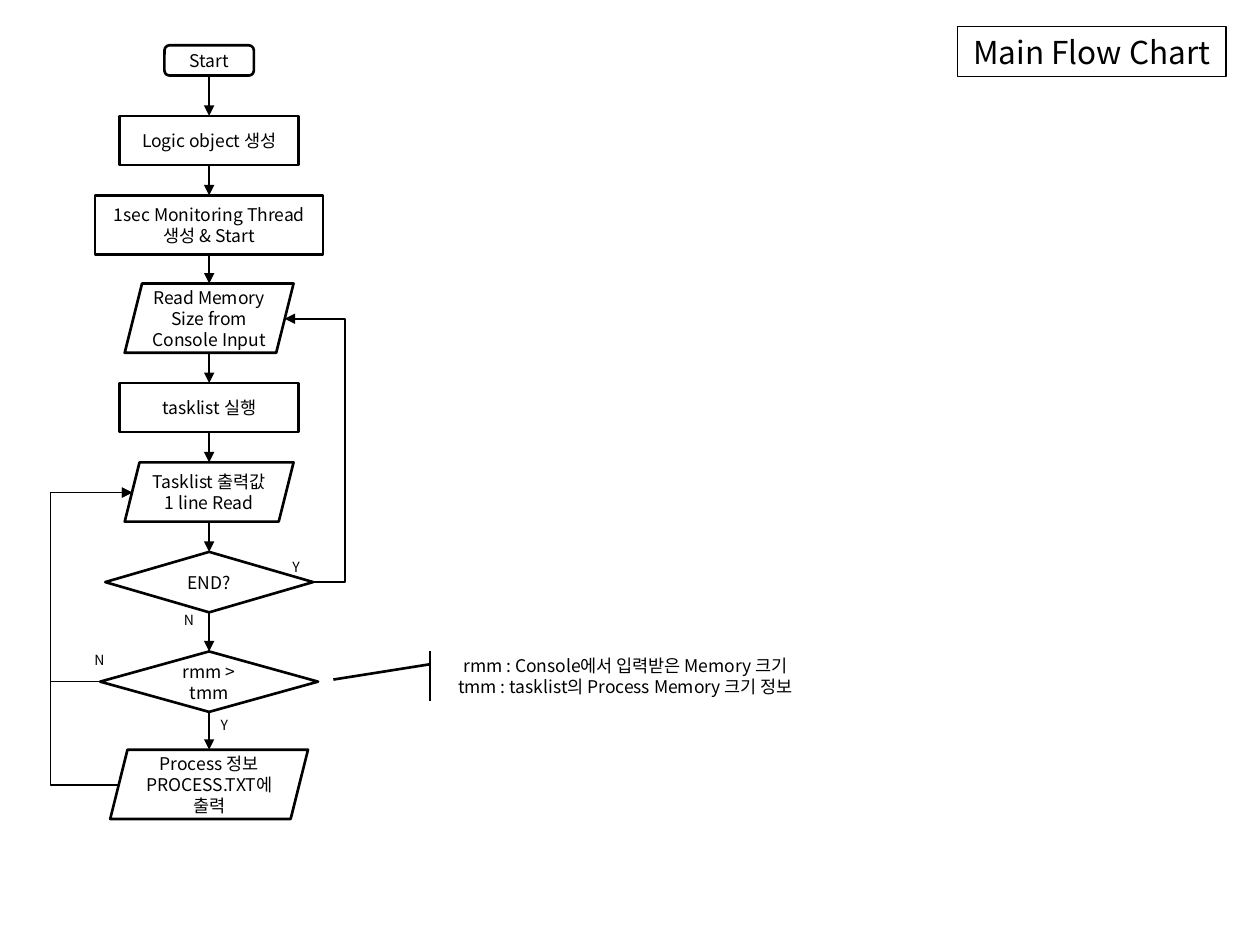
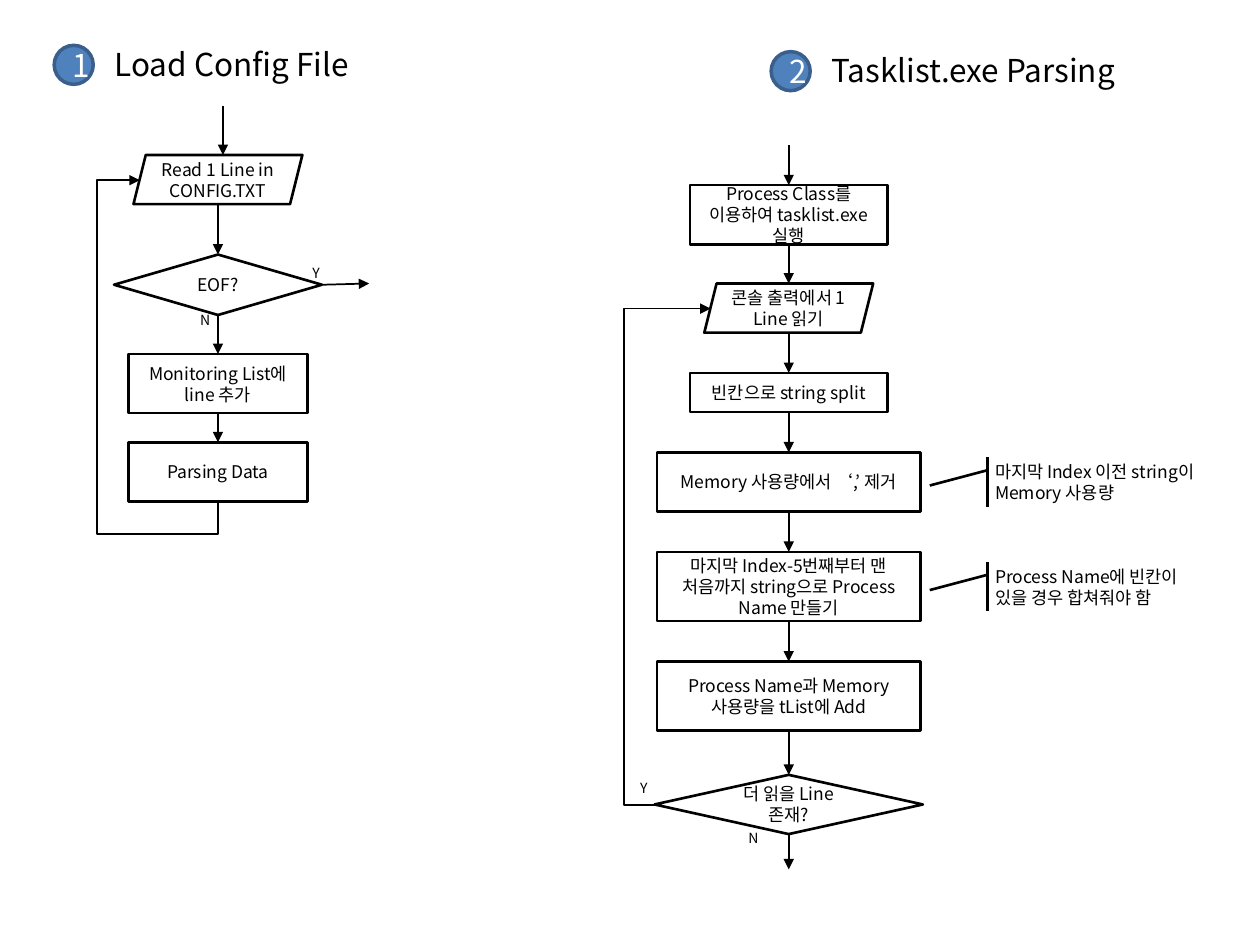
"""Builds two flow chart slides: the main flow and its two sub-flows."""
from dataclasses import dataclass

from lxml import etree
from pptx import Presentation
from pptx.dml.color import RGBColor
from pptx.enum.shapes import MSO_CONNECTOR, MSO_SHAPE
from pptx.enum.text import MSO_ANCHOR, MSO_AUTO_SIZE, PP_ALIGN
from pptx.oxml.ns import qn
from pptx.util import Inches, Pt

FONT = "Noto Sans CJK KR"
BLACK, WHITE, BLUE, DARK_BLUE = "000000", "FFFFFF", "4F81BD", "3A5F8C"
TITLE_ONLY = 5

PROCESS = MSO_SHAPE.RECTANGLE
TERMINAL = MSO_SHAPE.ROUNDED_RECTANGLE
DATA = MSO_SHAPE.PARALLELOGRAM
DECISION = MSO_SHAPE.FLOWCHART_DECISION
BADGE = MSO_SHAPE.FLOWCHART_CONNECTOR
CALLOUT = MSO_SHAPE.LINE_CALLOUT_1_ACCENT_BAR
STRAIGHT, ELBOW = MSO_CONNECTOR.STRAIGHT, MSO_CONNECTOR.ELBOW
LEFT, CENTER = PP_ALIGN.LEFT, PP_ALIGN.CENTER
TOP, MIDDLE = MSO_ANCHOR.TOP, MSO_ANCHOR.MIDDLE

CALLOUT_ADJUSTMENTS = (0.261, 0.02, 0.573, -0.218)
DATA_INSET = 0.04

Point = tuple[float, float]


@dataclass
class Node:
    """One step of a flow, centred on its column."""
    kind: MSO_SHAPE
    text: str
    top: float
    width: float
    height: float


@dataclass
class Loop:
    """An arrow that runs back to an earlier step along a vertical rail."""
    start: Point
    end: Point
    rail: float


@dataclass
class Label:
    """A small Y or N next to a branch."""
    text: str
    left: float
    top: float
    padded: bool = False
    width: float = 0.16


@dataclass
class Note:
    """A callout that explains a step."""
    text: str
    left: float
    top: float
    width: float
    align: PP_ALIGN = LEFT


@dataclass
class Heading:
    """A numbered heading of a sub-flow."""
    number: str
    text: str
    left: float
    top: float
    width: float


MAIN_CENTER, CONFIG_CENTER, PARSING_CENTER = 1.66, 1.73, 6.26

MAIN_NODES = [
    Node(TERMINAL, "Start", 0.36, 0.71, 0.24),
    Node(PROCESS, "Logic object 생성", 0.92, 1.42, 0.39),
    Node(PROCESS, "1sec Monitoring Thread 생성 & Start", 1.55, 1.81, 0.47),
    Node(DATA, "Read Memory Size from Console Input", 2.25, 1.34, 0.55),
    Node(PROCESS, "tasklist 실행", 3.04, 1.42, 0.39),
    Node(DATA, "Tasklist 출력값 1 line Read", 3.67, 1.34, 0.47),
    Node(DECISION, "END?", 4.38, 1.65, 0.48),
    Node(DECISION, "rmm > tmm", 5.17, 1.73, 0.48),
    Node(DATA, "Process 정보 PROCESS.TXT에 출력", 5.95, 1.57, 0.55),
]
MAIN_LOOPS = [
    Loop((2.49, 4.62), (2.26, 2.53), 2.74),
    Loop((0.94, 6.23), (1.05, 3.91), 0.4),
    Loop((0.8, 5.41), (1.05, 3.91), 0.4),
]
MAIN_LABELS = [
    Label("Y", 2.26, 4.38, padded=True),
    Label("Y", 1.69, 5.64, padded=True),
    Label("N", 1.46, 4.85),
    Label("N", 0.75, 5.17),
]
MAIN_NOTE = Note("rmm : Console에서 입력받은 Memory 크기\n"
                 "tmm : tasklist의 Process Memory 크기 정보", 3.35, 5.17, 3.23, CENTER)

HEADINGS = [
    Heading("1", "Load Config File", 0.43, 0.31, 2.6),
    Heading("2", "Tasklist.exe Parsing", 6.12, 0.36, 2.76),
]
CONFIG_NODES = [
    Node(DATA, "Read 1 Line in\nCONFIG.TXT", 1.23, 1.34, 0.39),
    Node(DECISION, "EOF?", 2.02, 1.65, 0.48),
    Node(PROCESS, "Monitoring List에 line 추가", 2.81, 1.42, 0.47),
    Node(PROCESS, "Parsing Data", 3.51, 1.42, 0.47),
]
PARSING_NODES = [
    Node(PROCESS, "Process Class를 이용하여 tasklist.exe실행", 1.47, 1.57, 0.47),
    Node(DATA, "콘솔 출력에서 1 Line 읽기", 2.25, 1.34, 0.39),
    Node(PROCESS, "빈칸으로 string split", 2.96, 1.57, 0.31),
    Node(PROCESS, "Memory 사용량에서 ‘,’ 제거", 3.59, 2.09, 0.47),
    Node(PROCESS, "마지막 Index-5번째부터 맨 처음까지 string으로 Process Name 만들기",
         4.38, 2.09, 0.55),
    Node(PROCESS, "Process Name과 Memory 사용량을 tList에 Add", 5.25, 2.09, 0.55),
    Node(DECISION, "더 읽을 Line 존재?", 6.15, 2.13, 0.47),
]
SUB_FLOW_ARROWS = [
    ((1.77, 0.84), (1.77, 1.23)),
    ((2.56, 2.26), (2.93, 2.25)),
    ((PARSING_CENTER, 1.15), (PARSING_CENTER, 1.47)),
    ((PARSING_CENTER, 6.62), (PARSING_CENTER, 6.9)),
]
SUB_FLOW_LABELS = [
    Label("N", 1.49, 2.42, padded=True, width=0.31),
    Label("Y", 2.48, 2.1),
    Label("N", 5.94, 6.58),
    Label("Y", 5.08, 6.19),
]
SUB_FLOW_NOTES = [
    Note("마지막 Index 이전 string이 Memory 사용량", 7.8, 3.63, 1.93),
    Note("Process Name에 빈칸이 있을 경우 합쳐줘야 함", 7.8, 4.46, 1.93),
]


def color(value: str) -> RGBColor:
    """Turn a hex string into a colour."""
    return RGBColor.from_string(value)


def write(shape, text: str, size: float = 10, align=CENTER, anchor=MIDDLE,
          fill: str = BLACK, inset: float | None = None, wrap: bool = True) -> None:
    """Write and format the text of a shape, one paragraph a line."""
    frame = shape.text_frame
    frame.text = text
    settings = {"word_wrap": wrap, "auto_size": MSO_AUTO_SIZE.NONE,
                "vertical_anchor": anchor}
    sides = ("left", "top", "right", "bottom")
    if inset is None:
        margins = zip(sides, (0.1, 0.05, 0.1, 0.05))
    else:
        margins = ((side, inset) for side in sides)
    settings.update({f"margin_{side}": Inches(margin) for side, margin in margins})
    for name, value in settings.items():
        setattr(frame, name, value)
    for paragraph in frame.paragraphs:
        paragraph.alignment = align
        for run in paragraph.runs:
            for name, value in {"size": Pt(size), "name": FONT}.items():
                setattr(run.font, name, value)
            run.font.color.rgb = color(fill)
            properties = run.font._element
            etree.SubElement(properties, qn("a:ea")).set("typeface", FONT)


def add_box(slide, kind, left: float, top: float, width: float, height: float,
            fill: str | None = None, line: str = BLACK, weight: float = 1.5):
    """Add a preset shape without shadow."""
    shape = slide.shapes.add_shape(
        kind, Inches(left), Inches(top), Inches(width), Inches(height))
    shape.shadow.inherit = False
    if fill:
        shape.fill.solid()
        shape.fill.fore_color.rgb = color(fill)
    else:
        shape.fill.background()
    shape.line.color.rgb = color(line)
    shape.line.width = Pt(weight)
    return shape


def add_arrow(slide, start: Point, end: Point, kind=STRAIGHT):
    """Add a thin black connector with an arrowhead at its end."""
    connector = slide.shapes.add_connector(
        kind, *(Inches(length) for length in (*start, *end)))
    connector.line.color.rgb = color(BLACK)
    connector.line.width = Pt(1)
    properties = connector._element.spPr
    line = properties.find(qn("a:ln"))
    etree.SubElement(line, qn("a:tailEnd")).set("type", "triangle")
    etree.SubElement(properties, qn("a:effectLst"))
    return connector


def bend(connector, preset: str, *adjustments: float) -> None:
    """Set the preset of an elbow connector and the places of its bends."""
    geometry = connector._element.spPr.find(qn("a:prstGeom"))
    geometry.set("prst", preset)
    guides = geometry.find(qn("a:avLst"))
    for number, value in enumerate(adjustments, start=1):
        guide = etree.SubElement(guides, qn("a:gd"))
        guide.set("name", f"adj{number}")
        guide.set("fmla", f"val {round(value * 100000)}")


def add_loop(slide, loop: Loop) -> None:
    """Add an arrow that goes sideways to its rail and back to a step."""
    connector = add_arrow(slide, loop.start, loop.end, ELBOW)
    start, end = loop.start[0], loop.end[0]
    bend(connector, "bentConnector3", (loop.rail - start) / (end - start))


def add_loop_from_below(slide, loop: Loop, drop: float) -> None:
    """Add an arrow that first goes down, then along its rail to a step."""
    (start_x, start_y), (end_x, end_y) = loop.start, loop.end
    across, rise = start_x - end_x, start_y - end_y
    middle_x, middle_y = (start_x + end_x) / 2, (start_y + end_y) / 2
    connector = add_arrow(slide, (middle_x + rise / 2, middle_y - across / 2),
                          (middle_x - rise / 2, middle_y + across / 2), ELBOW)
    connector._element.spPr.find(qn("a:xfrm")).set("rot", str(90 * 60000))
    bend(connector, "bentConnector4", -drop / rise, (start_x - loop.rail) / across)


def add_flow(slide, center: float, nodes: list[Node]) -> None:
    """Draw a column of steps and the arrows between neighbours."""
    for node in nodes:
        shape = add_box(slide, node.kind, center - node.width / 2, node.top,
                        node.width, node.height)
        write(shape, node.text, inset=DATA_INSET if node.kind == DATA else None)
    for upper, lower in zip(nodes, nodes[1:]):
        add_arrow(slide, (center, upper.top + upper.height), (center, lower.top))


def add_text(slide, left: float, top: float, width: float, height: float):
    """Add an empty text box."""
    return slide.shapes.add_textbox(
        Inches(left), Inches(top), Inches(width), Inches(height))


def add_label(slide, label: Label) -> None:
    """Add a branch label."""
    box = add_text(slide, label.left, label.top, label.width,
                   0.24 if label.padded else 0.13)
    write(box, label.text, 8, LEFT, TOP, inset=None if label.padded else 0,
          wrap=not label.padded)


def add_note(slide, note: Note) -> None:
    """Add a callout with an accent bar."""
    shape = add_box(slide, CALLOUT, note.left, note.top, note.width, 0.39)
    for index, value in enumerate(CALLOUT_ADJUSTMENTS):
        shape.adjustments[index] = value
    write(shape, note.text, align=note.align)


def place_title(slide, text: str, left: float, top: float, width: float, align):
    """Move and format the title placeholder."""
    title = slide.shapes.title
    place = {"left": left, "top": top, "width": width, "height": 0.4}
    for name, value in place.items():
        setattr(title, name, Inches(value))
    write(title, text, 18, align, TOP)
    return title


def build_main_flow(presentation) -> None:
    """Build the slide with the main flow."""
    slide = presentation.slides.add_slide(presentation.slide_layouts[TITLE_ONLY])
    title = place_title(slide, "Main Flow Chart", 7.6, 0.21, 2.13, CENTER)
    title.line.color.rgb = color(BLACK)
    title.line.width = Pt(0.75)
    add_flow(slide, MAIN_CENTER, MAIN_NODES)
    for loop in MAIN_LOOPS:
        add_loop(slide, loop)
    for label in MAIN_LABELS:
        add_label(slide, label)
    add_note(slide, MAIN_NOTE)


def build_sub_flows(presentation) -> None:
    """Build the slide with the two numbered sub-flows."""
    slide = presentation.slides.add_slide(presentation.slide_layouts[TITLE_ONLY])
    for heading in HEADINGS:
        badge = add_box(slide, BADGE, heading.left, heading.top + 0.05, 0.31, 0.31,
                        BLUE, DARK_BLUE, 2)
        write(badge, heading.number, 18, fill=WHITE)
    first, second = HEADINGS
    place_title(slide, first.text, first.left + 0.38, first.top, first.width, LEFT)
    box = add_text(slide, second.left + 0.38, second.top, second.width, 0.4)
    write(box, second.text, 18, LEFT, TOP)
    add_flow(slide, CONFIG_CENTER, CONFIG_NODES)
    add_flow(slide, PARSING_CENTER, PARSING_NODES)
    for start, end in SUB_FLOW_ARROWS:
        add_arrow(slide, start, end)
    add_loop_from_below(slide, Loop((CONFIG_CENTER, 3.99), (1.11, 1.43), 0.77), 0.25)
    add_loop(slide, Loop((5.2, 6.39), (5.64, 2.45), 4.95))
    for label in SUB_FLOW_LABELS:
        add_label(slide, label)
    for note in SUB_FLOW_NOTES:
        add_note(slide, note)


def main() -> None:
    """Build and save the presentation."""
    presentation = Presentation()
    presentation.slide_width, presentation.slide_height = Inches(10), Inches(7.5)
    build_main_flow(presentation)
    build_sub_flows(presentation)
    presentation.save("out.pptx")


main()
